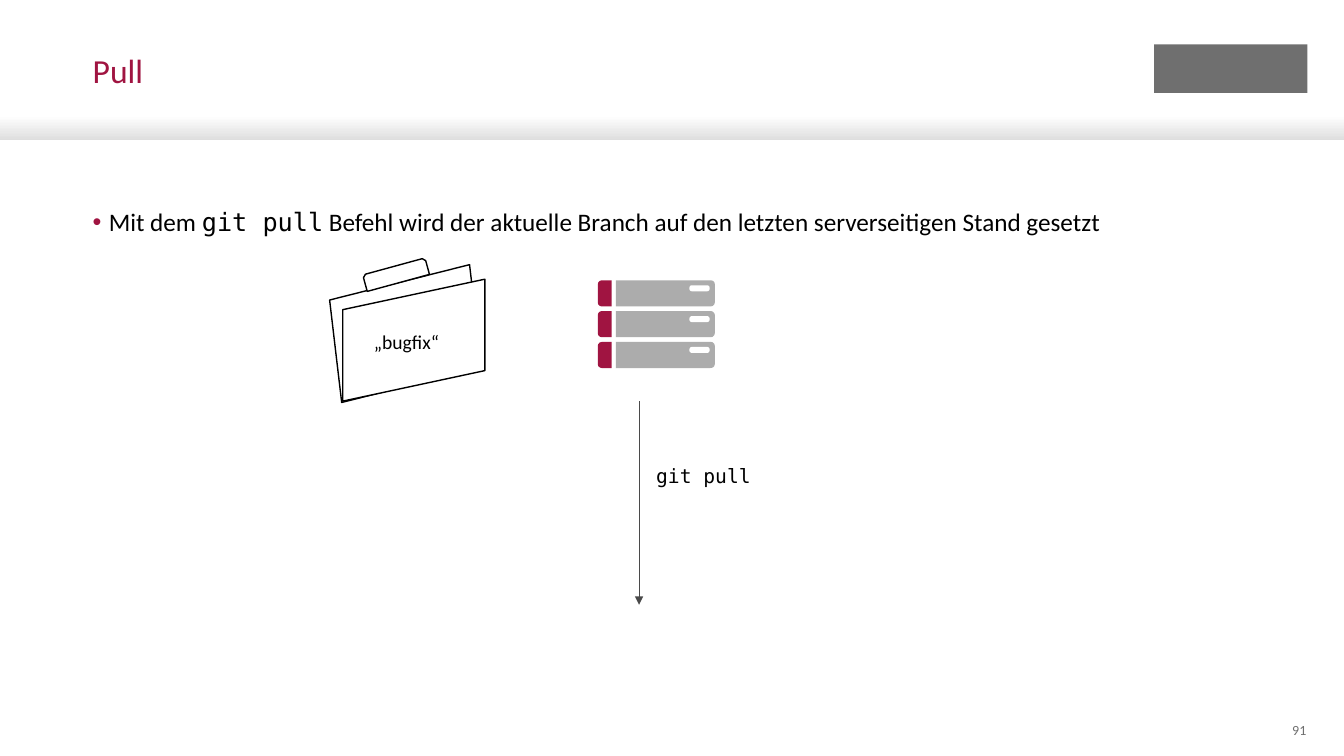
from lxml import etree
from pptx import Presentation
from pptx.dml.color import RGBColor
from pptx.enum.shapes import MSO_CONNECTOR, MSO_SHAPE
from pptx.enum.text import MSO_ANCHOR, MSO_AUTO_SIZE, PP_ALIGN
from pptx.oxml.ns import qn
from pptx.util import Pt

RECT, ROUNDED = MSO_SHAPE.RECTANGLE, MSO_SHAPE.ROUNDED_RECTANGLE
ROUND_TOP = MSO_SHAPE.ROUND_2_SAME_RECTANGLE
PARALLELOGRAM = MSO_SHAPE.PARALLELOGRAM
SNIPPED_TOP = MSO_SHAPE.SNIP_2_SAME_RECTANGLE
TOP, MIDDLE = MSO_ANCHOR.TOP, MSO_ANCHOR.MIDDLE
LEFT, RIGHT = PP_ALIGN.LEFT, PP_ALIGN.RIGHT

THEME = {
    "sans": "Calibri", "mono": "DejaVu Sans Mono",
    "accent": "A01441", "text": "000000", "muted": "6F6F6F", "paper": "FFFFFF",
    "band": "DEDEDE", "server": "ACACAC", "arrow": "4A4A4A",
    "title_size": 24, "body_size": 18, "label_size": 14, "number_size": 10,
}

# Content: runs are (text, font key)
TITLE = [("Pull", "sans")]
STATEMENT = [
    ("Mit dem ", "sans"),
    ("git pull", "mono"),
    (" Befehl wird der aktuelle Branch auf den letzten serverseitigen Stand gesetzt", "sans"),
]
BRANCH = [("„bugfix“", "sans")]
COMMAND = [("git pull", "mono")]
PAGE_NUMBER = [("91", "sans")]

# Folder parts: preset, box, rotation, adjustment, flipped
FOLDER = [
    (PARALLELOGRAM, (246.2, 187.2, 87.1, 102.2), 83.3, 0.154, True),
    (PARALLELOGRAM, (252, 192.2, 87.1, 101.5), 90, 0.25, True),
    (SNIPPED_TOP, (259.9, 190.1, 46.1, 12.2), 344.7, 0.167, False),
]
SERVER_UNITS = 3
SERVER_LEFT, SERVER_TOP = 427, 200.2
UNIT_HEIGHT, UNIT_PITCH = 18.7, 22
CAP_WIDTH, CASE_OFFSET, CASE_WIDTH = 9.8, 13, 70.6
SLOT_OFFSET, SLOT_WIDTH, SLOT_HEIGHT = 65.5, 14.4, 4.3
ARROW_X, ARROW_TOP, ARROW_BOTTOM = 456.5, 286.6, 432


def colour(key):
    return RGBColor.from_string(THEME[key])


def add_shape(slide, preset, box, fill, line=None, rotation=0, adjustment=None):
    shape = slide.shapes.add_shape(preset, *map(Pt, box))
    shape.shadow.inherit = False
    shape.rotation = rotation
    if adjustment is not None:
        shape.adjustments[0] = adjustment
    shape.fill.solid()
    shape.fill.fore_color.rgb = colour(fill)
    if line:
        shape.line.color.rgb = colour(line)
        shape.line.width = Pt(1)
    else:
        shape.line.fill.background()
    return shape


def add_end_cap(slide, left, top, width, height, fill, turn, radius):
    """Block whose left (270) or right (90) corners are rounded."""
    box = (left + (width - height) / 2, top + (height - width) / 2, height, width)
    add_shape(slide, ROUND_TOP, box, fill, rotation=turn,
              adjustment=radius / min(width, height))


def write(holder, runs, size, fill, spacing=1.0, align=LEFT, anchor=TOP, bullet=False):
    frame = holder.text_frame
    frame_format = {"margin_left": 0, "margin_right": 0, "margin_top": 0,
                    "margin_bottom": 0, "word_wrap": True,
                    "auto_size": MSO_AUTO_SIZE.NONE, "vertical_anchor": anchor}
    for name, value in frame_format.items():
        setattr(frame, name, value)
    paragraph = frame.paragraphs[0]
    paragraph.alignment = align
    paragraph.line_spacing = spacing
    if bullet:
        properties = paragraph._p.get_or_add_pPr()
        properties.set("marL", str(Pt(11.5)))
        properties.set("indent", str(-Pt(11.5)))
        bullet_colour = etree.SubElement(properties, qn("a:buClr"))
        etree.SubElement(bullet_colour, qn("a:srgbClr"), val=THEME["accent"])
        etree.SubElement(properties, qn("a:buFont"), typeface="Arial")
        etree.SubElement(properties, qn("a:buChar"), char="•")
    for text, font in runs:
        run = paragraph.add_run()
        run.text = text
        run.font.name = THEME[font]
        run.font.size = Pt(THEME[size])
        run.font.color.rgb = colour(fill)


def add_text(slide, box, runs, size, fill, **layout):
    write(slide.shapes.add_textbox(*map(Pt, box)), runs, size, fill, **layout)


def add_header(slide):
    band = add_shape(slide, RECT, (0, 82.8, 960, 17.3), "paper")
    band.fill.gradient()
    band.fill.gradient_angle = 270
    for stop, position, key in zip(band.fill.gradient_stops, (0, 1), ("paper", "band")):
        stop.position = position
        stop.color.rgb = colour(key)
    slide.shapes._spTree.insert(2, band._element)
    add_shape(slide, RECT, (824.4, 31.7, 109.4, 34.6), "muted")
    title = slide.shapes.title
    title.left, title.top, title.width, title.height = map(Pt, (66.2, 38.9, 737.3, 61.2))
    write(title, TITLE, "title_size", "accent", spacing=0.9)


def add_server(slide):
    for unit in range(SERVER_UNITS):
        top = SERVER_TOP + unit * UNIT_PITCH
        add_end_cap(slide, SERVER_LEFT, top, CAP_WIDTH, UNIT_HEIGHT, "accent", 270, 2.9)
        add_end_cap(slide, SERVER_LEFT + CASE_OFFSET, top, CASE_WIDTH, UNIT_HEIGHT,
                    "server", 90, 2.9)
        slot = (SERVER_LEFT + SLOT_OFFSET, top + 3.6, SLOT_WIDTH, SLOT_HEIGHT)
        add_shape(slide, ROUNDED, slot, "paper", adjustment=0.4)


def add_folder(slide):
    for preset, box, rotation, adjustment, flipped in FOLDER:
        part = add_shape(slide, preset, box, "paper", "text", rotation, adjustment)
        if flipped:
            part._element.spPr.find(qn("a:xfrm")).set("flipV", "1")
    add_text(slide, (267.1, 234, 56.2, 13), BRANCH, "label_size", "text", spacing=1.1)


def add_pull_arrow(slide):
    arrow = slide.shapes.add_connector(
        MSO_CONNECTOR.STRAIGHT, Pt(ARROW_X), Pt(ARROW_TOP), Pt(ARROW_X), Pt(ARROW_BOTTOM))
    arrow.line.color.rgb = colour("arrow")
    arrow.line.width = Pt(0.5)
    etree.SubElement(arrow.line._get_or_add_ln(), qn("a:tailEnd"), type="triangle")
    etree.SubElement(arrow._element.spPr, qn("a:effectLst"))
    add_text(slide, (468.7, 329.8, 92.2, 25.9), COMMAND, "label_size", "text", spacing=1.1)


def main():
    presentation = Presentation()
    presentation.slide_width, presentation.slide_height = Pt(960), Pt(540)
    slide = presentation.slides.add_slide(presentation.slide_layouts[5])
    add_header(slide)
    add_text(slide, (66.2, 145.4, 827.3, 351.4), STATEMENT, "body_size", "text",
             spacing=1.1, bullet=True)
    add_text(slide, (893.5, 514.1, 39.6, 15.1), PAGE_NUMBER, "number_size", "muted",
             align=RIGHT, anchor=MIDDLE)
    add_server(slide)
    add_folder(slide)
    add_pull_arrow(slide)
    presentation.save("out.pptx")


if __name__ == "__main__":
    main()
